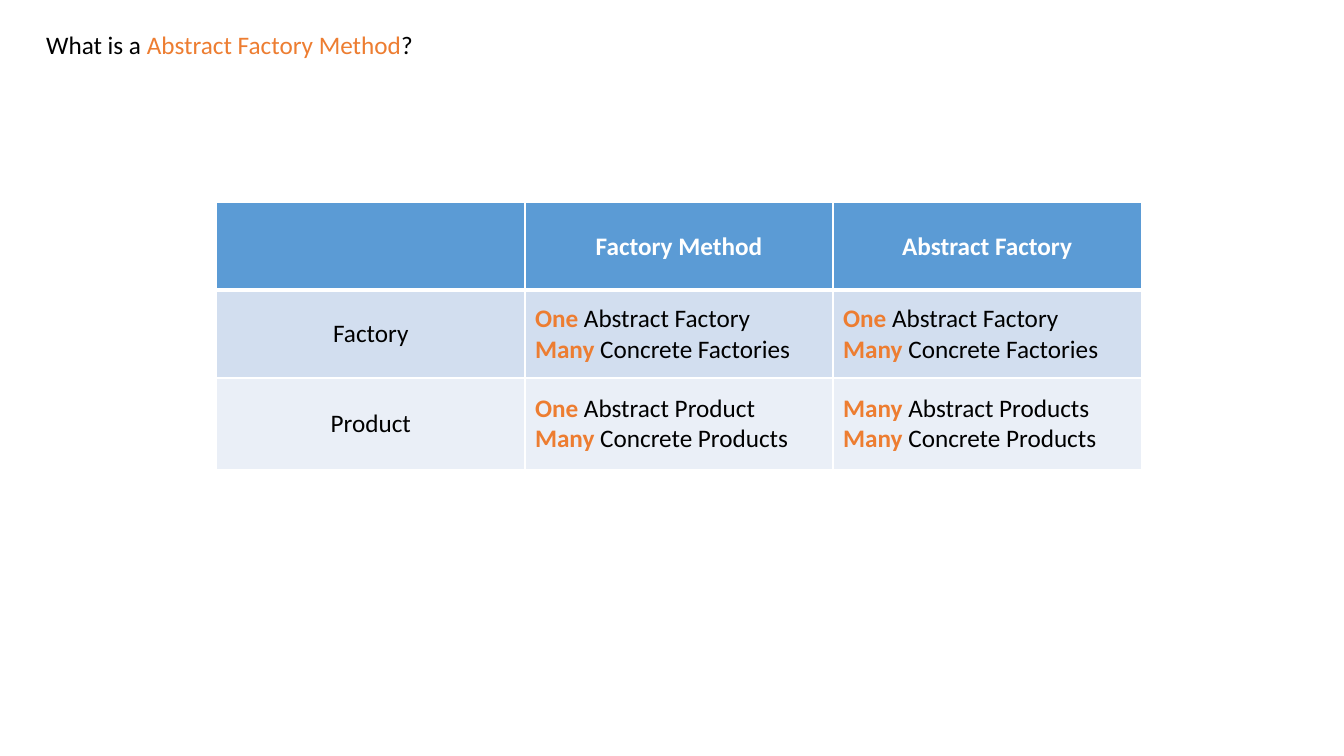
from lxml.etree import SubElement
from pptx import Presentation
from pptx.dml.color import RGBColor as Color
from pptx.enum.text import MSO_ANCHOR as Anchor, MSO_AUTO_SIZE as AutoSize, PP_ALIGN as Align
from pptx.oxml.ns import qn
from pptx.util import Inches, Pt

COLOURS = {
    "text": "000000", "accent": "ED7D31", "white": "FFFFFF",
    "header": "5B9BD5", "odd": "D2DEEF", "even": "EAEFF7",
}
HEADERS = ["", "Factory Method", "Abstract Factory"]
COMPARISON = [
    ("Factory",
     [("One", " Abstract Factory"), ("Many", " Concrete Factories")],
     [("One", " Abstract Factory"), ("Many", " Concrete Factories")]),
    ("Product",
     [("One", " Abstract Product"), ("Many", " Concrete Products")],
     [("Many", " Abstract Products"), ("Many", " Concrete Products")]),
]
ROW_HEIGHTS = [0.87, 0.87, 0.91]


def add_span(para, text, colour="text", bold=False):
    """Append one formatted run to a paragraph."""
    span = para.add_run()
    span.text = text
    span.font.name = "Calibri"
    span.font.size = Pt(18)
    span.font.bold = bold
    span.font.color.rgb = Color.from_string(COLOURS[colour])


def add_heading(page, left, top, width, height):
    """Place the question at the top of the page."""
    box = page.shapes.add_textbox(Inches(left), Inches(top), Inches(width), Inches(height))
    frame = box.text_frame
    frame.word_wrap = True
    frame.auto_size = AutoSize.SHAPE_TO_FIT_TEXT
    para = frame.paragraphs[0]
    add_span(para, "What is a ")
    add_span(para, "Abstract Factory Method", "accent")
    add_span(para, "?")


def style_cell(cell, fill, top=1, bottom=1):
    """Set the fill, anchor and white borders of a cell."""
    cell.vertical_anchor = Anchor.MIDDLE
    properties = cell._tc.get_or_add_tcPr()
    for side, points in (("L", 1), ("R", 1), ("T", top), ("B", bottom)):
        line = SubElement(properties, qn(f"a:ln{side}"), w=str(Pt(points)))
        paint = SubElement(line, qn("a:solidFill"))
        SubElement(paint, qn("a:srgbClr"), val=COLOURS["white"])
    cell.fill.solid()
    cell.fill.fore_color.rgb = Color.from_string(COLOURS[fill])


def write_label(cell, text, colour="text", bold=False):
    """Write a centred label into a cell."""
    para = cell.text_frame.paragraphs[0]
    para.alignment = Align.CENTER
    if text:
        add_span(para, text, colour, bold)


def write_counts(cell, lines):
    """Write lines that each open with a highlighted quantity."""
    frame = cell.text_frame
    for index, (quantity, kind) in enumerate(lines):
        para = frame.add_paragraph() if index else frame.paragraphs[0]
        add_span(para, quantity, "accent", True)
        add_span(para, kind)


def add_comparison(page, left, top, width, height):
    """Place the table that compares the two patterns."""
    table = page.shapes.add_table(
        len(ROW_HEIGHTS), len(HEADERS),
        Inches(left), Inches(top), Inches(width), Inches(height)).table
    for column in table.columns:
        column.width = Inches(width / len(HEADERS))
    for row, row_height in zip(table.rows, ROW_HEIGHTS):
        row.height = Inches(row_height)
    for column, title in enumerate(HEADERS):
        cell = table.cell(0, column)
        style_cell(cell, "header", bottom=3)
        write_label(cell, title, "white", True)
    for row, (label, *counts) in enumerate(COMPARISON, 1):
        for column in range(len(HEADERS)):
            style_cell(table.cell(row, column), "odd" if row % 2 else "even",
                       top=3 if row == 1 else 1)
        write_label(table.cell(row, 0), label)
        for column, lines in enumerate(counts, 1):
            write_counts(table.cell(row, column), lines)


def main():
    """Build and save the deck."""
    deck = Presentation()
    deck.slide_width, deck.slide_height = Inches(13.33), Inches(7.5)
    page = deck.slides.add_slide(deck.slide_layouts[6])
    add_heading(page, 0.36, 0.24, 6.8, 0.71)
    add_comparison(page, 2.15, 2.01, 9.17, sum(ROW_HEIGHTS))
    deck.save("out.pptx")


if __name__ == "__main__":
    main()
